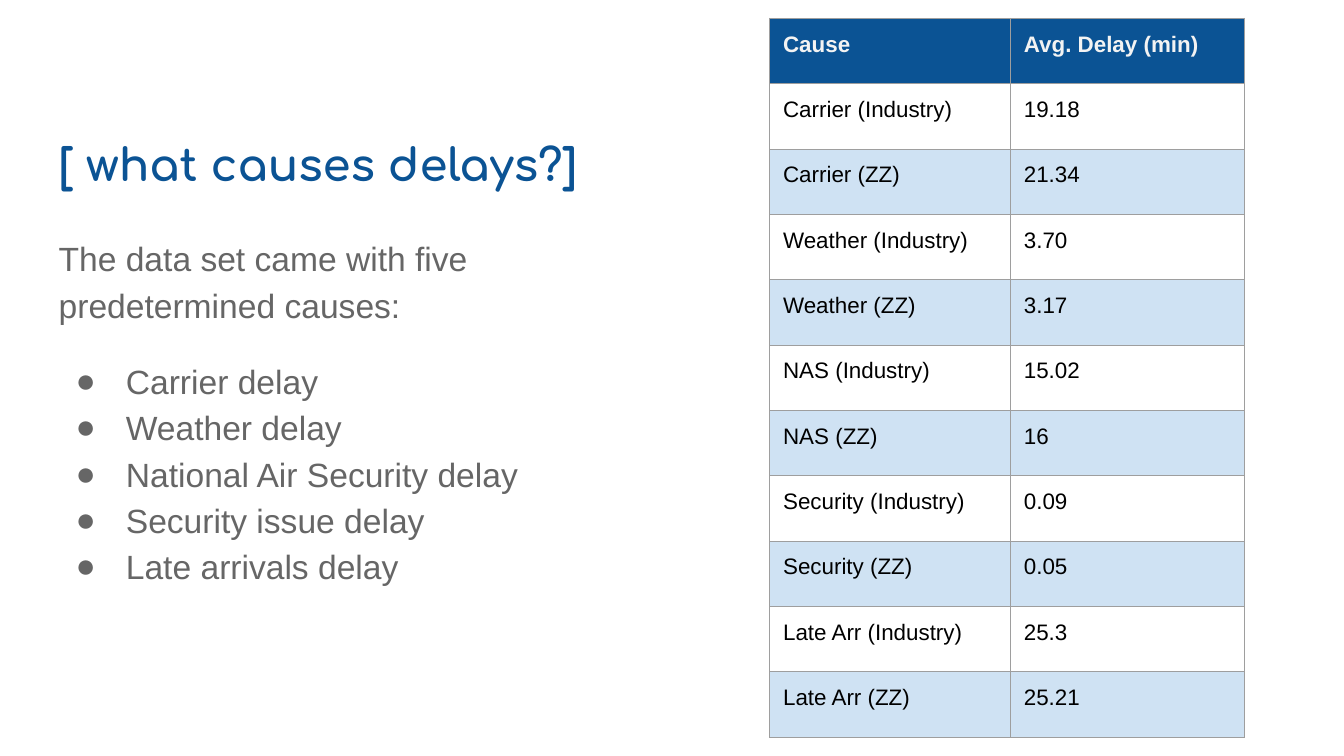
from lxml import etree
from pptx import Presentation
from pptx import util as u
from pptx.dml.color import RGBColor
from pptx.enum import text
from pptx.oxml import ns

BLUE = RGBColor(0x0B, 0x53, 0x94)
PALE_BLUE = RGBColor(0xCF, 0xE2, 0xF3)
GREY = RGBColor(0x66, 0x66, 0x66)
BORDER = RGBColor(0x9E, 0x9E, 0x9E)
OFF_WHITE = RGBColor(0xF3, 0xF3, 0xF3)
BLACK = RGBColor(0, 0, 0)

# Content
TITLE = "[ what causes delays?]"
INTRO = "The data set came with five predetermined causes:"
CAUSES = [
    "Carrier delay",
    "Weather delay",
    "National Air Security delay",
    "Security issue delay",
    "Late arrivals delay",
]
HEADER = ("Cause", "Avg. Delay (min)")
DELAYS = [
    ("Carrier (Industry)", "19.18"),
    ("Carrier (ZZ)", "21.34"),
    ("Weather (Industry)", "3.70"),
    ("Weather (ZZ)", "3.17"),
    ("NAS (Industry)", "15.02"),
    ("NAS (ZZ)", "16"),
    ("Security (Industry)", "0.09"),
    ("Security (ZZ)", "0.05"),
    ("Late Arr (Industry)", "25.3"),
    ("Late Arr (ZZ)", "25.21"),
]
COLUMN_WIDTHS = (4.55, 4.42)
ROW_HEIGHT = 1.235
INSET = u.Cm(0.25)


def set_insets(target):
    target.margin_left = target.margin_right = INSET
    target.margin_top = target.margin_bottom = INSET


def style(para, size, color, name="Arial", bold=False):
    para.font.size = u.Pt(size)
    para.font.name = name
    para.font.bold = bold
    para.font.color.rgb = color


def add_text_frame(page, left, top, width, height, anchor):
    box = page.shapes.add_textbox(u.Cm(left), u.Cm(top), u.Cm(width), u.Cm(height))
    frame = box.text_frame
    frame.word_wrap = True
    frame.vertical_anchor = anchor
    set_insets(frame)
    return frame


def add_bullet(para):
    props = para._p.get_or_add_pPr()
    props.set("marL", str(u.Cm(1.27)))
    props.set("indent", str(u.Cm(-0.95)))
    color = etree.SubElement(props, ns.qn("a:buClr"))
    etree.SubElement(color, ns.qn("a:srgbClr"), val=str(GREY))
    etree.SubElement(props, ns.qn("a:buFont"), typeface="Arial")
    etree.SubElement(props, ns.qn("a:buChar"), char="●")


def add_borders(cell):
    props = cell._tc.get_or_add_tcPr()
    for index, side in enumerate(("lnL", "lnR", "lnT", "lnB")):
        line = etree.Element(ns.qn(f"a:{side}"), w=str(u.Pt(0.75)))
        fill = etree.SubElement(line, ns.qn("a:solidFill"))
        etree.SubElement(fill, ns.qn("a:srgbClr"), val=str(BORDER))
        props.insert(index, line)


deck = Presentation()
deck.slide_width, deck.slide_height = u.Cm(25.4), u.Cm(14.29)
page = deck.slides.add_slide(deck.slide_layouts[6])

# Title
frame = add_text_frame(page, 0.86, 1.75, 11.2, 2.11, text.MSO_ANCHOR.BOTTOM)
frame.text = TITLE
style(frame.paragraphs[0], 24, BLUE, "Comfortaa", bold=True)

# Introduction and bulleted causes
frame = add_text_frame(page, 0.86, 4.14, 10.77, 8.56, text.MSO_ANCHOR.TOP)
frame.text = "\n".join([INTRO] + CAUSES)
for index, para in enumerate(frame.paragraphs):
    if index > 0:
        add_bullet(para)
    style(para, 18, GREY)
    para.line_spacing = 1.15
    para.space_before = u.Pt(16 if index == 1 else 0)

# Delay table
rows = [HEADER] + DELAYS
table = page.shapes.add_table(
    len(rows), len(HEADER), u.Cm(14.55), u.Cm(0.35),
    u.Cm(sum(COLUMN_WIDTHS)), u.Cm(ROW_HEIGHT * len(rows)),
).table
for column, width in zip(table.columns, COLUMN_WIDTHS):
    column.width = u.Cm(width)
for row_index, values in enumerate(rows):
    table.rows[row_index].height = u.Cm(ROW_HEIGHT)
    is_header = row_index == 0
    for column_index, value in enumerate(values):
        cell = table.cell(row_index, column_index)
        cell.text = value
        set_insets(cell)
        style(cell.text_frame.paragraphs[0], 12,
              OFF_WHITE if is_header else BLACK, bold=is_header)
        if row_index % 2:
            cell.fill.background()
        else:
            cell.fill.solid()
            cell.fill.fore_color.rgb = BLUE if is_header else PALE_BLUE
        add_borders(cell)

deck.save("out.pptx")
